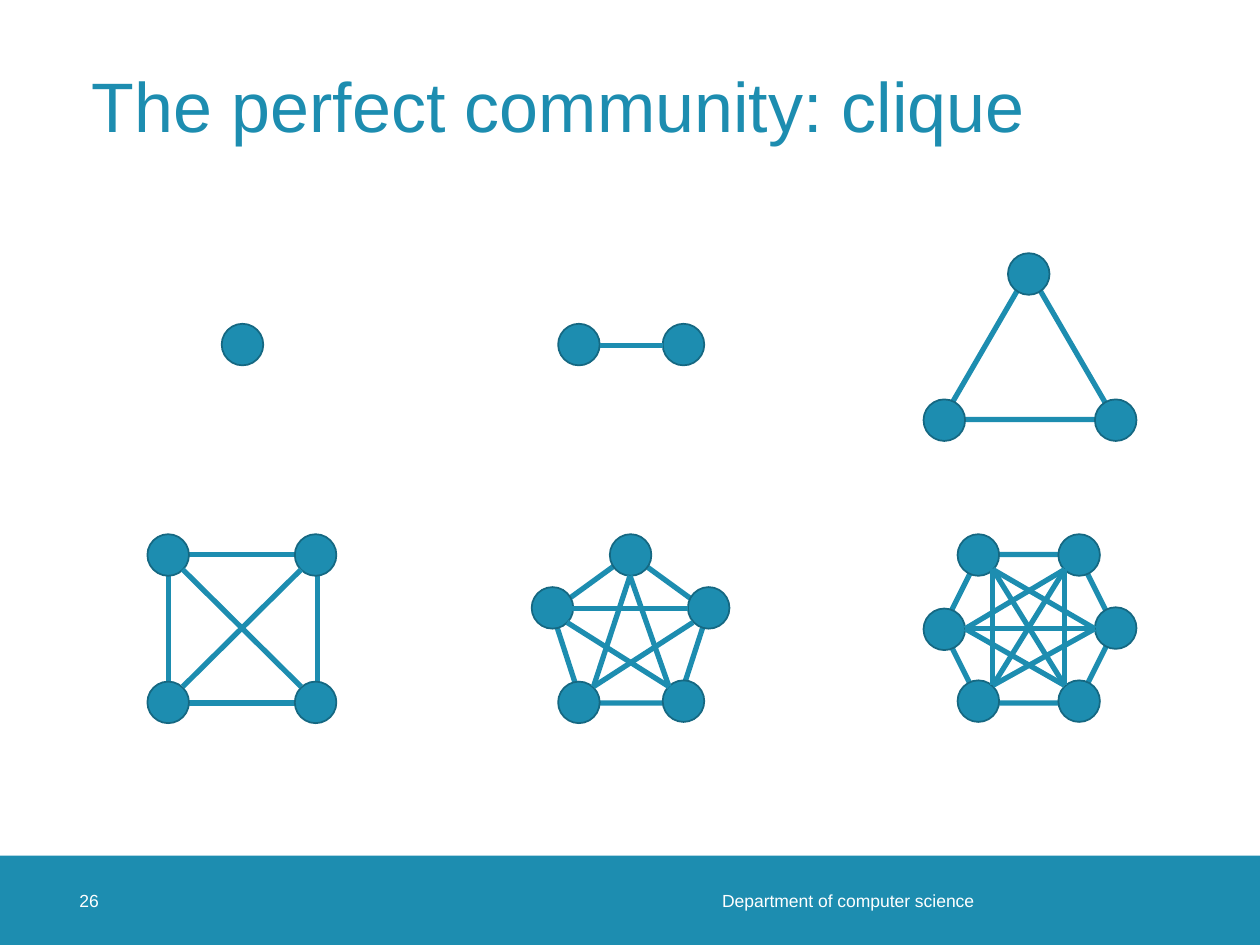
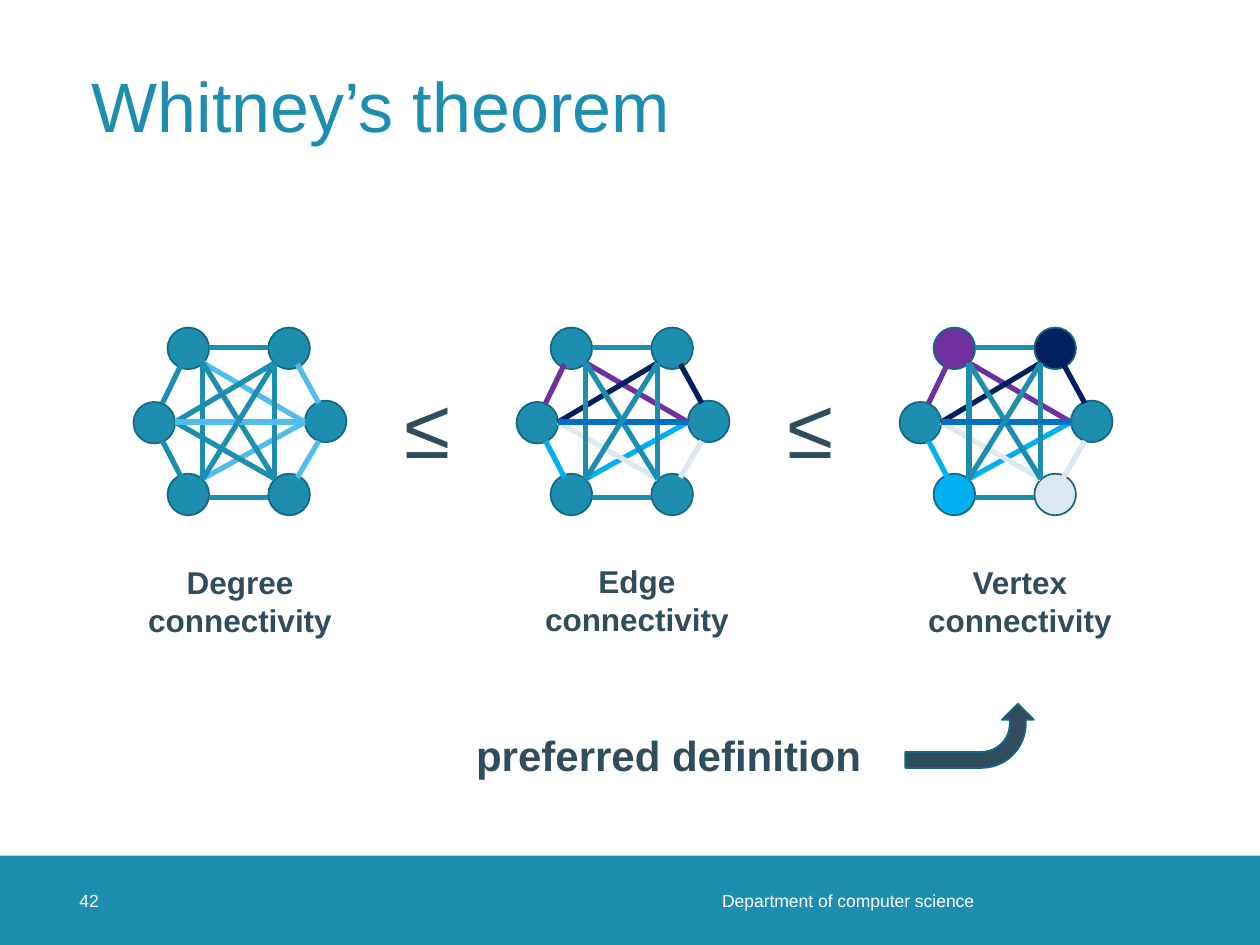
import pptx
import pptx.util
import pptx.dml.color
import pptx.enum.shapes
import pptx.enum.text
import pptx.oxml.ns
from dataclasses import dataclass, field
from lxml import etree
from typing import Any, NamedTuple

Inches = pptx.util.Inches
Pt = pptx.util.Pt
SHAPE = pptx.enum.shapes.MSO_SHAPE
ALIGN = pptx.enum.text.PP_ALIGN
ANCHOR = pptx.enum.text.MSO_ANCHOR
qn = pptx.oxml.ns.qn

COLORS = {
    "teal": "1D8DB0",
    "rim": "156882",
    "slate": "2F4D5D",
    "sky": "52BDEC",
    "purple": "7030A0",
    "navy": "002060",
    "cyan": "00B0F0",
    "ice": "DCE7F0",
    "blue": "0070C0",
    "white": "FFFFFF",
}
FONT = "Arial"
NODE_SIZE = 0.33


class Point(NamedTuple):
    x: float
    y: float


class Box(NamedTuple):
    left: float
    top: float
    width: float
    height: float


class Edge(NamedTuple):
    a: str
    b: str
    start: Point
    end: Point


@dataclass
class TextStyle:
    size: int
    color: str = "slate"
    bold: bool = False
    align: Any = ALIGN.LEFT
    anchor: Any = ANCHOR.TOP
    margins: tuple[float, ...] = (0.1, 0.05, 0.1, 0.05)
    spacing: float = 1.0


@dataclass
class Clique:
    nodes: list[Point]
    outline: Any = None
    outline_box: Box | None = None
    lines: list[tuple[Point, Point]] = field(default_factory=list)


@dataclass
class Connectivity:
    name: str
    label_left: float
    label_top: float
    edge_colors: dict[frozenset[str], str]
    node_colors: dict[str, str]


TITLE = TextStyle(40, "teal", anchor=ANCHOR.MIDDLE, spacing=0.9)
FOOTER = TextStyle(10, "white", align=ALIGN.RIGHT, anchor=ANCHOR.MIDDLE, margins=(0, 0, 0.2, 0))
NUMBER = TextStyle(10, "white", anchor=ANCHOR.MIDDLE, margins=(0, 0, 0, 0))
SIGN = TextStyle(48)
LABEL = TextStyle(18, bold=True, align=ALIGN.CENTER)
NOTE = TextStyle(24, bold=True)

HEX_NODES = {
    "TL": Point(0.27, 0), "TR": Point(1.07, 0), "L": Point(0, 0.59),
    "BL": Point(0.27, 1.16), "BR": Point(1.07, 1.16), "R": Point(1.36, 0.58),
}
CHORD_ENDS = {
    "TL": Point(0.55, 0.28), "TR": Point(1.12, 0.28), "L": Point(0.33, 0.75),
    "BL": Point(0.55, 1.2), "BR": Point(1.12, 1.2), "R": Point(1.36, 0.75),
}
CHORD_PAIRS = [
    ("TL", "R"), ("R", "BL"), ("L", "BR"), ("L", "TR"), ("BL", "TL"),
    ("BR", "TR"), ("TL", "BR"), ("L", "R"), ("TR", "BL"),
]
CHORDS = [Edge(a, b, CHORD_ENDS[a], CHORD_ENDS[b]) for a, b in CHORD_PAIRS]
SIDES = [
    Edge("TL", "TR", Point(0.6, 0.16), Point(1.07, 0.16)),
    Edge("TR", "R", Point(1.3, 0.29), Point(1.47, 0.6)),
    Edge("R", "BR", Point(1.47, 0.9), Point(1.3, 1.19)),
    Edge("BR", "BL", Point(1.07, 1.35), Point(0.6, 1.35)),
    Edge("BL", "L", Point(0.38, 1.19), Point(0.23, 0.9)),
    Edge("L", "TL", Point(0.23, 0.6), Point(0.38, 0.29)),
]


def rgb(name: str) -> Any:
    return pptx.dml.color.RGBColor.from_string(COLORS[name])


def shift(point: Point, origin: Point) -> Point:
    return Point(point.x + origin.x, point.y + origin.y)


def add_shape(shapes: Any, kind: Any, box: Box, fill: str | None = None,
              line: str | None = None, weight: float = 1) -> Any:
    sp = shapes.add_shape(kind, *(Inches(v) for v in box))
    sp.shadow.inherit = False
    if fill:
        sp.fill.solid()
        sp.fill.fore_color.rgb = rgb(fill)
    else:
        sp.fill.background()
    if line:
        sp.line.color.rgb = rgb(line)
        sp.line.width = Pt(weight)
    else:
        sp.line.fill.background()
    return sp


def add_text(shapes: Any, text: str, box: Box, style: TextStyle) -> None:
    sp = shapes.add_textbox(*(Inches(v) for v in box))
    tf = sp.text_frame
    tf.word_wrap = True
    tf.vertical_anchor = style.anchor
    tf.margin_left, tf.margin_top, tf.margin_right, tf.margin_bottom = (
        Inches(v) for v in style.margins)
    p = tf.paragraphs[0]
    p.alignment = style.align
    p.line_spacing = style.spacing
    r = p.add_run()
    r.text = text
    r.font.name = FONT
    r.font.size = Pt(style.size)
    r.font.bold = style.bold
    r.font.color.rgb = rgb(style.color)


def add_node(shapes: Any, at: Point, color: str = "teal") -> None:
    add_shape(shapes, SHAPE.OVAL, Box(at.x, at.y, NODE_SIZE, NODE_SIZE), color, "rim")


def add_line(shapes: Any, start: Point, end: Point, color: str = "teal") -> None:
    cx = shapes.add_connector(pptx.enum.shapes.MSO_CONNECTOR.STRAIGHT,
                              *(Inches(v) for v in (*start, *end)))
    cx.line.color.rgb = rgb(color)
    cx.line.width = Pt(3)
    etree.SubElement(cx.element.spPr, qn("a:effectLst"))


def add_slide(prs: Any, title: str, number: int) -> Any:
    s = prs.slides.add_slide(prs.slide_layouts[6])
    add_shape(s.shapes, SHAPE.RECTANGLE, Box(0, 6.79, 10, 0.71), "teal")
    add_text(s.shapes, "Department of computer science", Box(3.89, 6.79, 4.04, 0.71), FOOTER)
    add_text(s.shapes, str(number), Box(0.63, 6.79, 0.71, 0.71), NUMBER)
    add_text(s.shapes, title, Box(0.63, 0.24, 8.74, 1.26), TITLE)
    return s


def draw_clique(shapes: Any, clique: Clique) -> None:
    if clique.outline_box:
        add_shape(shapes, clique.outline, clique.outline_box, line="teal", weight=3)
    for node in clique.nodes:
        add_node(shapes, node)
    for start, end in clique.lines:
        add_line(shapes, start, end)


def cliques() -> list[Clique]:
    hex_origin = Point(7.33, 4.24)
    return [
        Clique([Point(1.76, 2.57)]),
        Clique([Point(4.43, 2.57), Point(5.26, 2.57)],
               lines=[(Point(4.76, 2.74), Point(5.26, 2.74))]),
        Clique([Point(8, 2.01), Point(7.33, 3.17), Point(8.69, 3.17)],
               SHAPE.ISOSCELES_TRIANGLE, Box(7.48, 2.15, 1.37, 1.18)),
        Clique([Point(x, y) for x in (1.17, 2.34) for y in (4.24, 5.41)],
               SHAPE.RECTANGLE, Box(1.34, 4.4, 1.18, 1.18),
               [(Point(1.45, 4.52), Point(2.39, 5.45)),
                (Point(1.45, 5.45), Point(2.39, 4.52))]),
        Clique([Point(4.84, 4.24), Point(4.22, 4.66), Point(4.43, 5.41),
                Point(5.26, 5.4), Point(5.46, 4.66)],
               SHAPE.REGULAR_PENTAGON, Box(4.38, 4.4, 1.24, 1.18),
               [(Point(5, 4.57), Point(4.71, 5.45)),
                (Point(5, 4.57), Point(5.31, 5.45)),
                (Point(4.54, 4.83), Point(5.46, 4.83)),
                (Point(4.5, 4.94), Point(5.31, 5.45)),
                (Point(5.5, 4.94), Point(4.71, 5.45))]),
        Clique([shift(n, hex_origin) for n in HEX_NODES.values()],
               SHAPE.HEXAGON, Box(7.48, 4.4, 1.37, 1.18),
               [(shift(e.start, hex_origin), shift(e.end, hex_origin)) for e in CHORDS]),
    ]


def build_clique_slide(prs: Any) -> None:
    s = add_slide(prs, "The perfect community: clique", 26)
    for clique in cliques():
        draw_clique(s.shapes, clique)


def draw_connectivity(s: Any, graph: Connectivity, origin: Point) -> None:
    shapes = s.shapes.add_group_shape().shapes
    for name, node in HEX_NODES.items():
        add_node(shapes, shift(node, origin), graph.node_colors.get(name, "teal"))
    for edge in CHORDS + SIDES:
        color = graph.edge_colors.get(frozenset((edge.a, edge.b)), "teal")
        add_line(shapes, shift(edge.start, origin), shift(edge.end, origin), color)
    add_text(shapes, f"{graph.name} connectivity",
             Box(graph.label_left, graph.label_top, 2.17, 0.71), LABEL)


def build_whitney_slide(prs: Any) -> None:
    s = add_slide(prs, "Whitney’s theorem", 42)
    via_colors = {"TL": "purple", "TR": "navy", "BL": "cyan", "BR": "ice"}
    degree_colors = {frozenset((name, "R")): "sky" for name in HEX_NODES}
    route_colors = {frozenset((via, end)): color
                    for via, color in via_colors.items() for end in ("L", "R")}
    route_colors[frozenset(("L", "R"))] = "blue"
    graphs = [
        Connectivity("Degree", 0.82, 4.42, degree_colors, {}),
        Connectivity("Edge", 3.97, 4.41, route_colors, {}),
        Connectivity("Vertex", 7.01, 4.42, route_colors, via_colors),
    ]
    pitch = 3.04
    for i in range(len(graphs) - 1):
        add_text(s.shapes, "≤", Box(3.11 + i * pitch, 2.92, 0.62, 0.91), SIGN)
    for i, graph in enumerate(graphs):
        draw_connectivity(s, graph, Point(1.06 + i * pitch, 2.6))
    add_text(s.shapes, "preferred definition", Box(3.68, 5.74, 3.31, 0.5), NOTE)
    arrow = add_shape(s.shapes, SHAPE.BENT_ARROW, Box(7.44, 5.33, 0.51, 1.02), "slate", "rim")
    for i, value in enumerate((0.25, 0.25, 0.25, 0.69)):
        arrow.adjustments[i] = value
    arrow.rotation = 270
    arrow.element.spPr.find(qn("a:xfrm")).set("flipV", "1")


def main() -> None:
    prs = pptx.Presentation()
    prs.slide_width = Inches(10)
    prs.slide_height = Inches(7.5)
    build_clique_slide(prs)
    build_whitney_slide(prs)
    prs.save("out.pptx")


if __name__ == "__main__":
    main()
